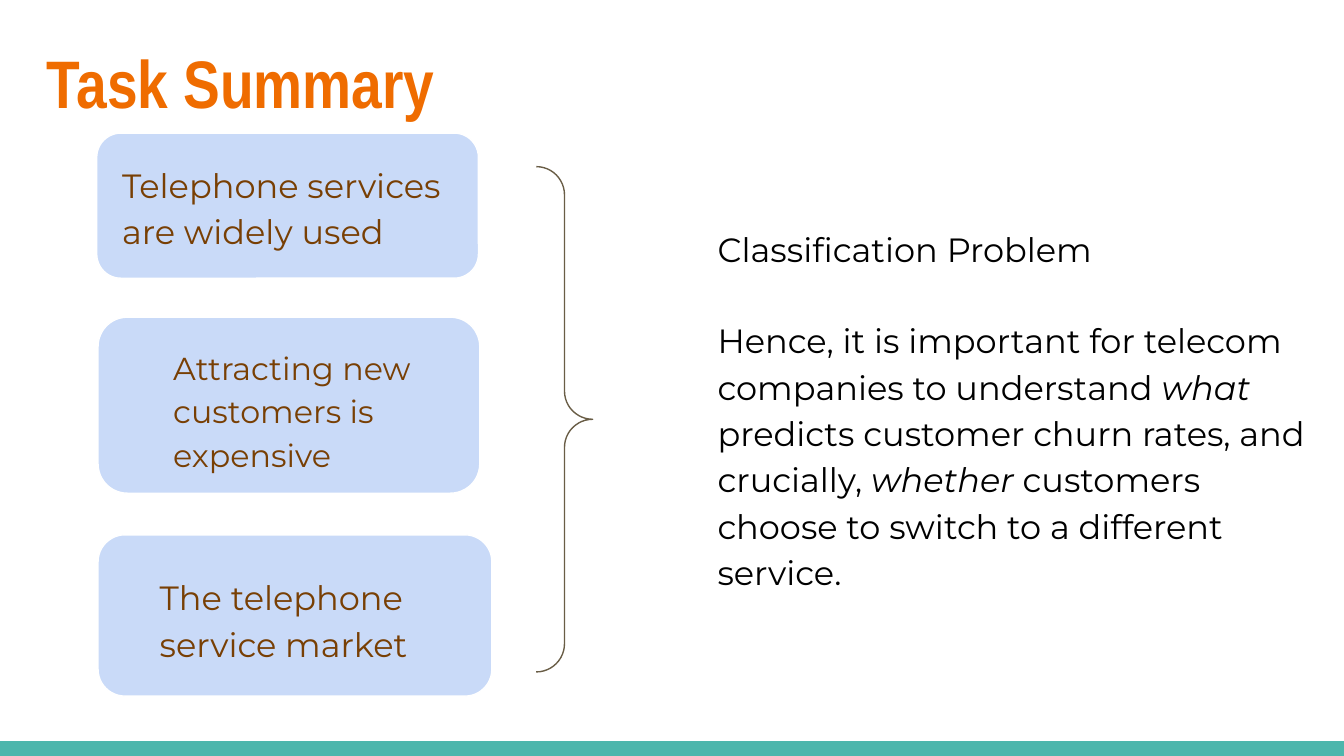
from dataclasses import dataclass

from pptx import Presentation
from pptx import util as u
from pptx.dml.color import RGBColor
from pptx.enum import shapes, text

WIDTH = 10
HEIGHT = WIDTH * 9 / 16
FOOTER_HEIGHT = 0.11
COLORS = {
    "heading": "EF6C00", "body": "000000", "reason": "783F04",
    "card": "C9DAF8", "border": "FFFFFF", "brace": "695D46", "footer": "4DB6AC",
}
BODY_FONT = "Montserrat"


@dataclass(frozen=True)
class Box:
    """Left, top, width and height in inches."""
    left: float
    top: float
    width: float
    height: float

    def emu(self) -> list[int]:
        return [u.Inches(v) for v in (self.left, self.top, self.width, self.height)]


@dataclass(frozen=True)
class Reason:
    wording: str
    card: Box
    label: Box
    size: int = 18


REASONS = [
    Reason("Telephone services are widely used",
           Box(0.72, 0.99, 2.84, 1.08), Box(0.81, 1.08, 2.93, 0.85)),
    Reason("Attracting new customers is expensive",
           Box(0.73, 2.36, 2.84, 1.31), Box(1.19, 2.45, 2.8, 1.15), 17),
    Reason("The telephone service market",
           Box(0.73, 3.98, 2.93, 1.2), Box(1.09, 4.15, 2.86, 0.85)),
]

# Each paragraph is a list of (wording, italic) runs
CONCLUSION = [
    [("Classification Problem", False)],
    [("Hence, it is important for telecom companies to understand ", False),
     ("what", True),
     (" predicts customer churn rates, and crucially, ", False),
     ("whether", True),
     (" customers choose to switch to a different service.", False)],
]


def rgb(name: str) -> RGBColor:
    return RGBColor.from_string(COLORS[name])


def add_panel(parent, kind, box: Box, fill: str | None = None, line: str | None = None):
    panel = parent.add_shape(kind, *box.emu())
    panel.shadow.inherit = False
    if fill:
        panel.fill.solid()
        panel.fill.fore_color.rgb = rgb(fill)
    else:
        panel.fill.background()
    if line:
        panel.line.color.rgb = rgb(line)
        panel.line.width = u.Pt(0.75)
    else:
        panel.line.fill.background()
    return panel


def add_frame(parent, box: Box, top_inset: float = 0.1):
    frame = parent.add_textbox(*box.emu()).text_frame
    frame.word_wrap = True
    frame.vertical_anchor = text.MSO_ANCHOR.TOP
    frame.margin_left = frame.margin_right = frame.margin_bottom = u.Inches(0.1)
    frame.margin_top = u.Inches(top_inset)
    return frame


def add_run(paragraph, wording: str, size: int, color: str, font: str = BODY_FONT,
            bold: bool = False, italic: bool = False) -> None:
    run = paragraph.add_run()
    run.text = wording
    run.font.name, run.font.size = font, u.Pt(size)
    run.font.bold, run.font.italic = bold, italic
    run.font.color.rgb = rgb(color)


def add_reason(slide, reason: Reason) -> None:
    group = slide.shapes.add_group_shape().shapes
    add_panel(group, shapes.MSO_SHAPE.FLOWCHART_ALTERNATE_PROCESS,
              reason.card, "card", "border")
    paragraph = add_frame(group, reason.label).paragraphs[0]
    paragraph.line_spacing = 1.15
    paragraph.space_after = u.Pt(12)
    add_run(paragraph, reason.wording, reason.size, "reason")


def add_conclusion(slide, box: Box) -> None:
    frame = add_frame(slide.shapes, box, top_inset=0.53)
    for index, runs in enumerate(CONCLUSION):
        paragraph = frame.add_paragraph() if index else frame.paragraphs[0]
        paragraph.line_spacing = 1.15
        paragraph.space_before = u.Pt(12 if index else 0)
        paragraph.space_after = u.Pt(12)
        paragraph._p.get_or_add_pPr().set("marL", str(u.Inches(0.5)))
        for wording, italic in runs:
            add_run(paragraph, wording, 18, "body", italic=italic)


def main() -> None:
    deck = Presentation()
    deck.slide_width, deck.slide_height = u.Inches(WIDTH), u.Inches(HEIGHT)
    slide = deck.slides.add_slide(deck.slide_layouts[6])

    # Footer band and heading
    add_panel(slide.shapes, shapes.MSO_SHAPE.RECTANGLE,
              Box(0, HEIGHT - FOOTER_HEIGHT, WIDTH, FOOTER_HEIGHT), "footer")
    heading = add_frame(slide.shapes, Box(0.25, 0.21, 9.32, 0.77))
    add_run(heading.paragraphs[0], "Task Summary", 36, "heading", "Arial Narrow", bold=True)

    # Conclusion on the right, reasons on the left, brace between them
    add_conclusion(slide, Box(4.74, 1.13, 5.12, 3.37))
    for reason in REASONS:
        add_reason(slide, reason)
    brace = add_panel(slide.shapes, shapes.MSO_SHAPE.RIGHT_BRACE,
                      Box(3.99, 1.24, 0.42, 3.76), line="brace")
    brace.adjustments[0] = brace.adjustments[1] = 0.5

    deck.save("out.pptx")


if __name__ == "__main__":
    main()
